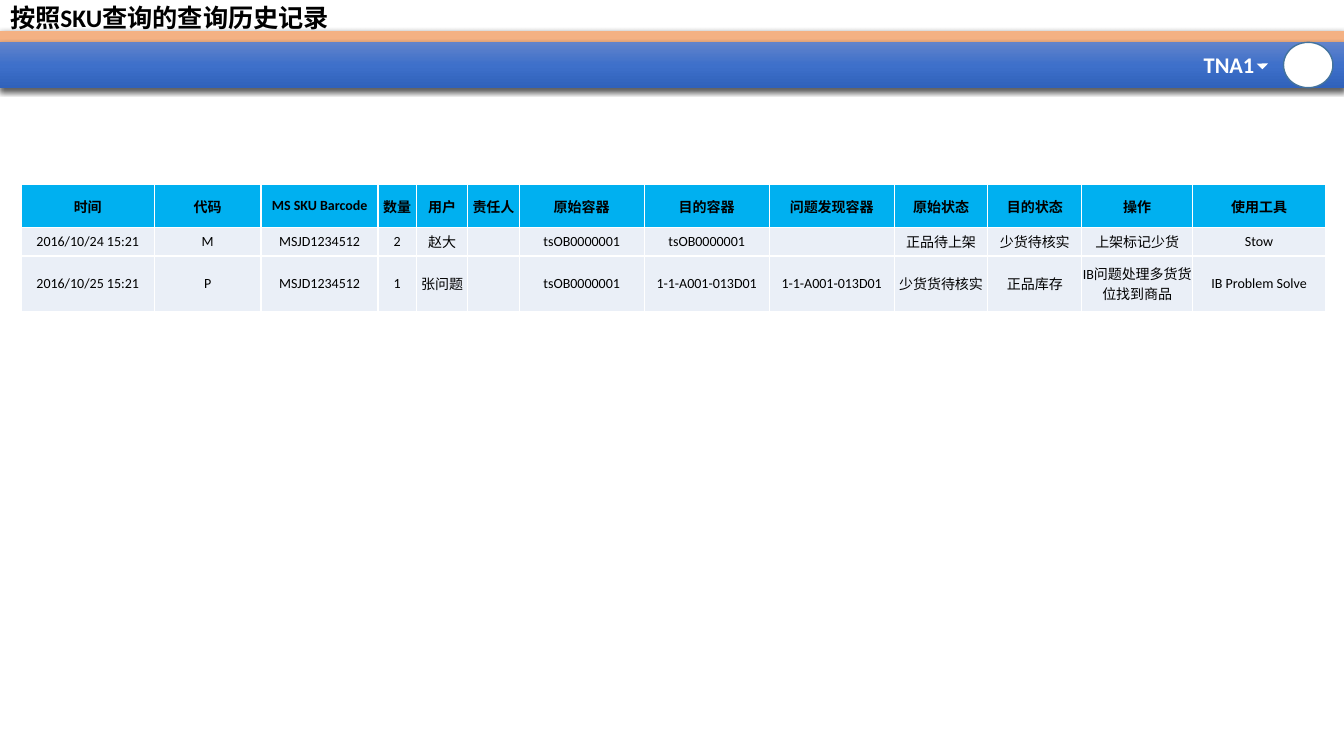
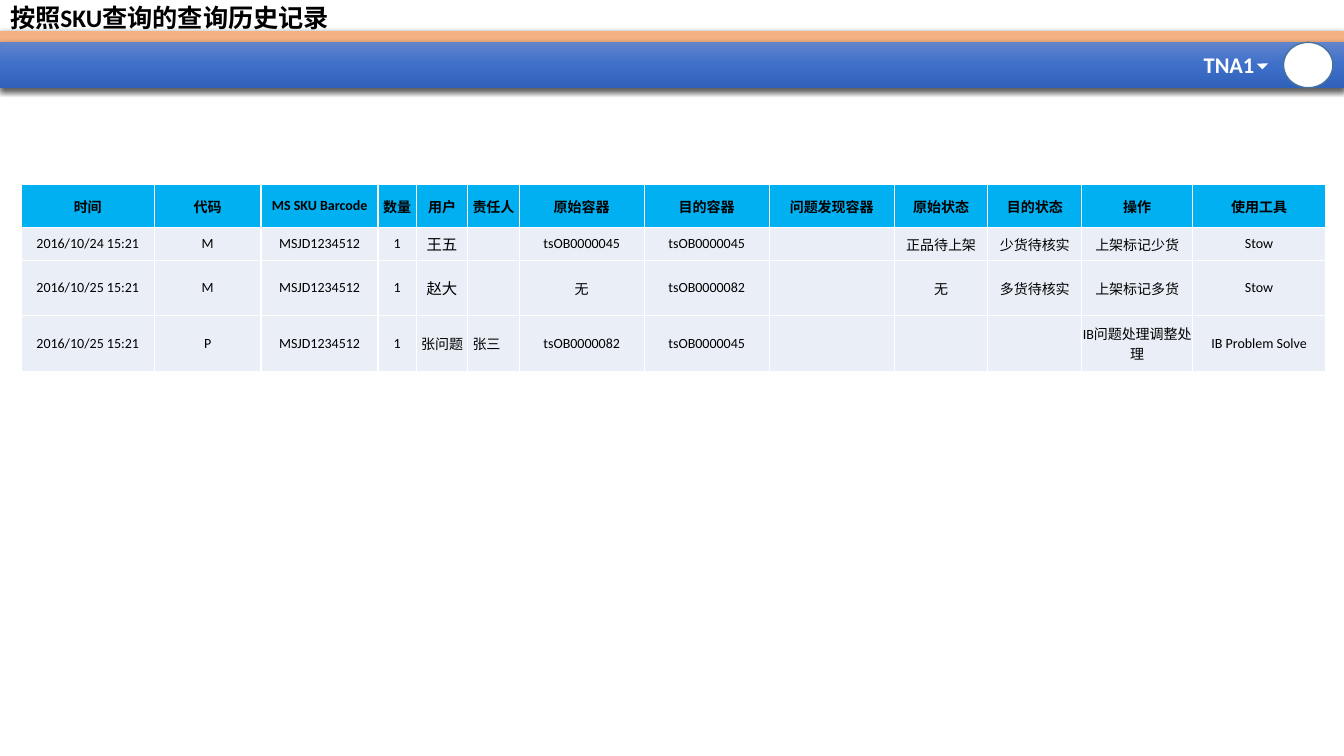
import copy
from dataclasses import dataclass

import lxml.etree
import pptx
import pptx.dml.color
import pptx.enum.shapes
import pptx.enum.text
import pptx.oxml.ns
import pptx.shapes.autoshape
import pptx.slide
import pptx.table
import pptx.text.text
import pptx.util

Inches, Pt = pptx.util.Inches, pptx.util.Pt
qn = pptx.oxml.ns.qn
SHAPE = pptx.enum.shapes.MSO_SHAPE
ALIGN = pptx.enum.text.PP_ALIGN
MIDDLE = pptx.enum.text.MSO_ANCHOR.MIDDLE
AUTO_SIZE = pptx.enum.text.MSO_AUTO_SIZE

# Shared look
FONT = "Calibri"
BLACK, WHITE = "000000", "FFFFFF"
ORANGE, OUTLINE = "F4B183", "43739E"
BLUE_GRADIENT = ((0, "6183CB"), (0.5, "3E70CA"), (1, "3062BB"))
HEAD_FILL, BODY_FILL = "00B0F0", "EAEFF7"
SLIDE_W, SLIDE_H = 13.33, 7.5

TITLE = "按照SKU查询的查询历史记录"
HEADINGS = ("时间", "代码", "MS SKU Barcode", "数量", "用户", "责任人", "原始容器",
            "目的容器", "问题发现容器", "原始状态", "目的状态", "操作", "使用工具")
COL_WIDTHS = (1.32, 1.06, 1.16, 0.38, 0.51, 0.51, 1.24,
              1.24, 1.24, 0.93, 0.93, 1.1, 1.32)
USER_COL = HEADINGS.index("用户")


@dataclass(frozen=True)
class HeaderShape:
    kind: pptx.enum.shapes.MSO_SHAPE
    left: float
    top: float
    width: float
    height: float
    fill: str | tuple
    line: str | None = None
    shadow: bool = False
    rotation: float = 0


@dataclass(frozen=True)
class History:
    rows: tuple[tuple[str, ...], ...]
    heights: tuple[float, ...]
    large_user_rows: tuple[int, ...] = ()


HEADER = (
    HeaderShape(SHAPE.RECTANGLE, 0, 0.31, SLIDE_W, 0.11, ORANGE, shadow=True),
    HeaderShape(SHAPE.RECTANGLE, 0, 0.42, SLIDE_W, 0.45, BLUE_GRADIENT, shadow=True),
    HeaderShape(SHAPE.OVAL, 12.73, 0.42, 0.49, 0.45, WHITE, line=OUTLINE),
    HeaderShape(SHAPE.RIGHT_TRIANGLE, 12.48, 0.59, 0.08, 0.08, WHITE, rotation=314.5),
)

HISTORIES = (
    History(
        rows=(
            ("2016/10/24 15:21", "M", "MSJD1234512", "2", "赵大", "", "tsOB0000001",
             "tsOB0000001", "", "正品待上架", "少货待核实", "上架标记少货", "Stow"),
            ("2016/10/25 15:21", "P", "MSJD1234512", "1", "张问题", "", "tsOB0000001",
             "1-1-A001-013D01", "1-1-A001-013D01", "少货货待核实", "正品库存",
             "IB问题处理多货货位找到商品", "IB Problem Solve"),
        ),
        heights=(0.43, 0.28, 0.55),
    ),
    History(
        rows=(
            ("2016/10/24 15:21", "M", "MSJD1234512", "1", "王五", "", "tsOB0000045",
             "tsOB0000045", "", "正品待上架", "少货待核实", "上架标记少货", "Stow"),
            ("2016/10/25 15:21", "M", "MSJD1234512", "1", "赵大", "", "无",
             "tsOB0000082", "", "无", "多货待核实", "上架标记多货", "Stow"),
            ("2016/10/25 15:21", "P", "MSJD1234512", "1", "张问题", "张三　", "tsOB0000082",
             "tsOB0000045", "", "", "", "IB问题处理调整处理", "IB Problem Solve"),
        ),
        heights=(0.43, 0.28, 0.55, 0.55),
        large_user_rows=(1, 2),
    ),
)


def rgb(value: str) -> pptx.dml.color.RGBColor:
    return pptx.dml.color.RGBColor.from_string(value)


def style(p: pptx.text.text._Paragraph, size: float, color: str, bold: bool) -> None:
    p.font.name = FONT
    p.font.size = Pt(size)
    p.font.bold = bold
    p.font.color.rgb = rgb(color)


def add_color(parent: lxml.etree._Element, color: str) -> lxml.etree._Element:
    return lxml.etree.SubElement(parent, qn("a:srgbClr"), val=color)


def fill_gradient(sp: pptx.shapes.autoshape.Shape, stops: tuple) -> None:
    sp.fill.gradient()
    sp.fill.gradient_angle = 270
    stop_list = sp._element.spPr.find(qn("a:gradFill")).find(qn("a:gsLst"))
    stop_list.insert(1, copy.deepcopy(stop_list[0]))
    for stop, (position, color) in zip(sp.fill.gradient_stops, stops):
        stop.position = position
        stop.color.rgb = rgb(color)


def add_shadow(sp: pptx.shapes.autoshape.Shape) -> None:
    effects = sp._element.spPr.find(qn("a:effectLst"))
    shadow = lxml.etree.SubElement(
        effects, qn("a:outerShdw"), blurRad=str(Pt(4.5)), dist=str(Pt(1.5)),
        dir="5400000", algn="ctr", rotWithShape="0")
    lxml.etree.SubElement(add_color(shadow, BLACK), qn("a:alpha"), val="63000")


# Header band: drawn once, then kept on the layout
def add_header_shape(s: pptx.slide.Slide, part: HeaderShape) -> pptx.shapes.autoshape.Shape:
    sp = s.shapes.add_shape(part.kind, Inches(part.left), Inches(part.top),
                            Inches(part.width), Inches(part.height))
    sp.rotation = part.rotation
    sp.shadow.inherit = False
    if isinstance(part.fill, tuple):
        fill_gradient(sp, part.fill)
    else:
        sp.fill.solid()
        sp.fill.fore_color.rgb = rgb(part.fill)
    if part.line:
        sp.line.color.rgb = rgb(part.line)
        sp.line.width = Pt(1)
    else:
        sp.line.fill.background()
    if part.shadow:
        add_shadow(sp)
    return sp


def add_site_label(s: pptx.slide.Slide) -> pptx.shapes.autoshape.Shape:
    sp = s.shapes.add_textbox(Inches(11.84), Inches(0.46), Inches(0.71), Inches(0.37))
    tf = sp.text_frame
    tf.word_wrap = False
    tf.auto_size = AUTO_SIZE.SHAPE_TO_FIT_TEXT
    tf.text = "TNA1"
    style(tf.paragraphs[0], 16, WHITE, True)
    return sp


def move_header_to_layout(s: pptx.slide.Slide, layout: pptx.slide.SlideLayout) -> None:
    header = [add_header_shape(s, part) for part in HEADER]
    header.append(add_site_label(s))
    for shape_id, sp in enumerate(header, start=100):
        sp._element.nvSpPr.cNvPr.set("id", str(shape_id))
        layout.shapes._spTree.append(sp._element)


# Title
def set_title(s: pptx.slide.Slide) -> None:
    sp = s.shapes.title
    sp.left, sp.top, sp.width, sp.height = (
        Inches(0), Inches(-0.01), Inches(11.5), Inches(0.4))
    tf = sp.text_frame
    tf.text = TITLE
    tf.word_wrap = True
    tf.auto_size = AUTO_SIZE.NONE
    tf.vertical_anchor = MIDDLE
    p = tf.paragraphs[0]
    p.alignment = ALIGN.LEFT
    p.line_spacing = 0.9
    style(p, 18, BLACK, True)


# History table
def add_borders(cell: pptx.table._Cell) -> None:
    for side in ("lnL", "lnR", "lnT", "lnB"):
        line = lxml.etree.SubElement(cell._tc.get_or_add_tcPr(), qn(f"a:{side}"),
                                     w=str(Pt(1)))
        add_color(lxml.etree.SubElement(line, qn("a:solidFill")), WHITE)


def fill_cell(cell: pptx.table._Cell, text: str, is_head: bool, is_large: bool) -> None:
    size = 11 if is_large else 10
    add_borders(cell)
    cell.fill.solid()
    cell.fill.fore_color.rgb = rgb(HEAD_FILL if is_head else BODY_FILL)
    cell.vertical_anchor = MIDDLE
    if not is_large:
        cell.margin_left = cell.margin_right = cell.margin_top = cell.margin_bottom = 0
    p = cell.text_frame.paragraphs[0]
    p.alignment = ALIGN.CENTER
    style(p, size, BLACK, is_head)
    if text:
        p.add_run().text = text
    else:
        # An empty cell needs its own text size, or it stretches the row
        lxml.etree.SubElement(p._p, qn("a:endParaRPr"), sz=str(size * 100))


def add_history(s: pptx.slide.Slide, history: History) -> None:
    rows = (HEADINGS, *history.rows)
    table = s.shapes.add_table(
        len(rows), len(HEADINGS), Inches(0.21), Inches(1.83),
        Inches(sum(COL_WIDTHS)), Inches(sum(history.heights))).table
    table.horz_banding = False
    for column, width in zip(table.columns, COL_WIDTHS):
        column.width = Inches(width)
    for i, (row, height) in enumerate(zip(rows, history.heights)):
        table.rows[i].height = Inches(height)
        for j, text in enumerate(row):
            is_large = j == USER_COL and i in history.large_user_rows
            fill_cell(table.cell(i, j), text, i == 0, is_large)


# Slides
prs = pptx.Presentation()
prs.slide_width, prs.slide_height = Inches(SLIDE_W), Inches(SLIDE_H)
title_only = prs.slide_layouts[5]
for number, history in enumerate(HISTORIES):
    s = prs.slides.add_slide(title_only)
    if number == 0:
        move_header_to_layout(s, title_only)
    set_title(s)
    add_history(s, history)
prs.save("out.pptx")
